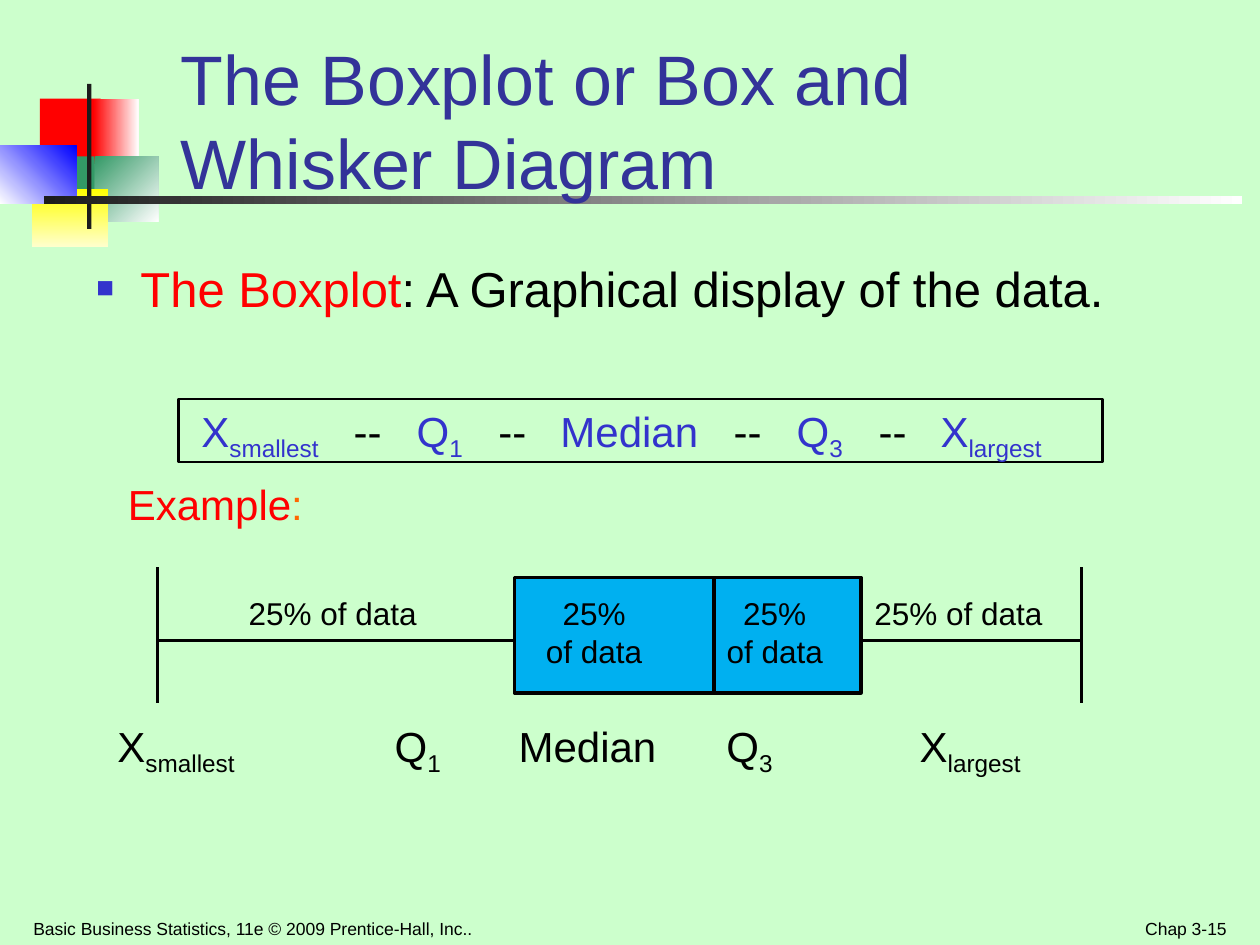
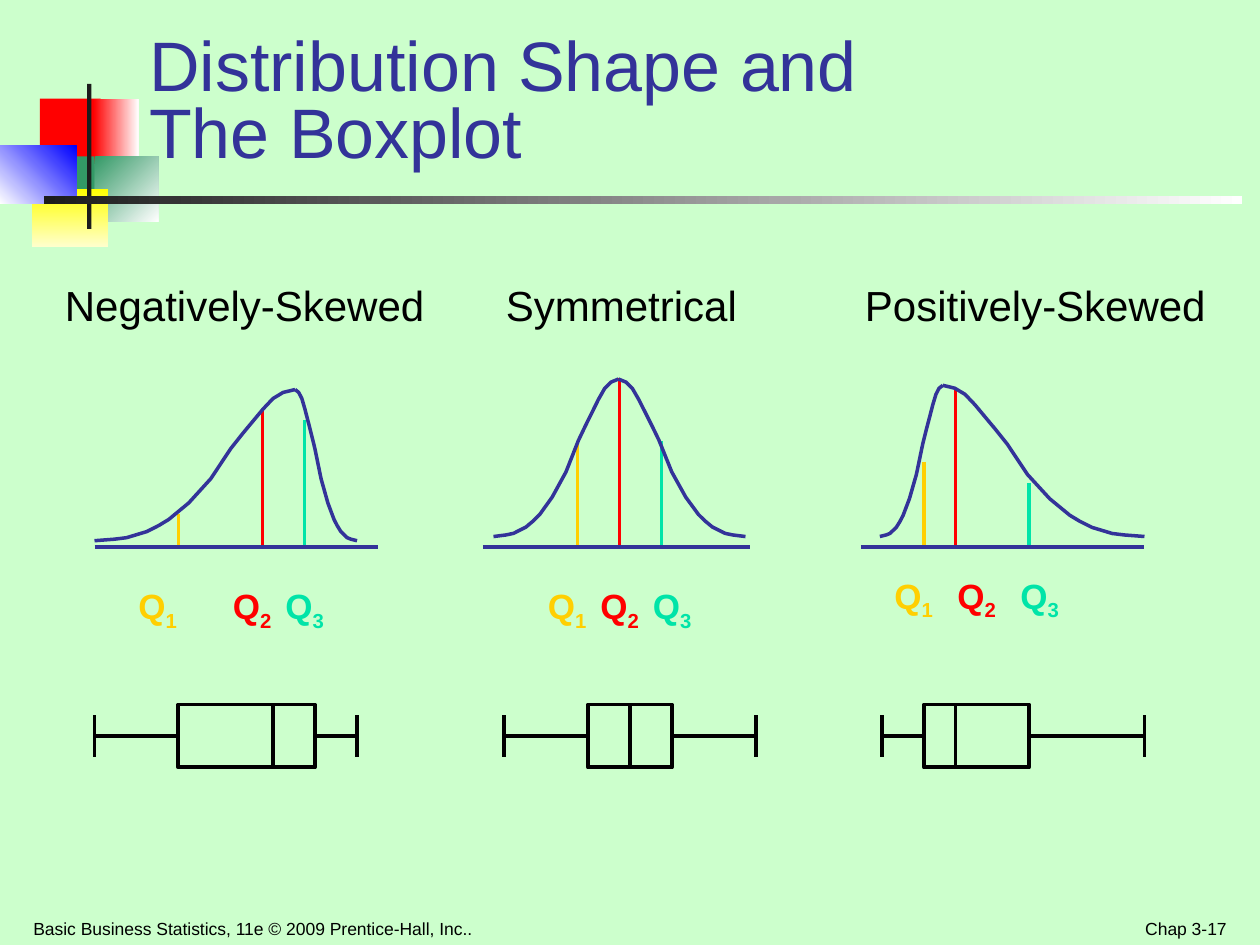
from copy import deepcopy

from lxml.etree import SubElement
from pptx import Presentation
from pptx.dml.color import RGBColor
from pptx.enum.shapes import MSO_CONNECTOR, MSO_SHAPE
from pptx.enum.text import MSO_ANCHOR as Anchor, MSO_AUTO_SIZE, PP_ALIGN as Align
from pptx.oxml.ns import qn
from pptx.util import Inches, Pt

# Grid: every unit is one twelfth of an inch
COLUMNS, ROWS = 120, 90
UNIT = Inches(10) / COLUMNS
FONT = "Arial"

MINT = RGBColor(0xCC, 0xFF, 0xCC)
INDIGO = RGBColor(0x33, 0x33, 0x99)
VIOLET = RGBColor(0x33, 0x33, 0xCC)
BLACK = RGBColor(0, 0, 0)
CHARCOAL = RGBColor(0x1C, 0x1C, 0x1C)
WHITE = RGBColor(0xFF, 0xFF, 0xFF)
RED = RGBColor(0xFF, 0, 0)
ORANGE = RGBColor(0xFF, 0x66, 0)
GREEN = RGBColor(0x33, 0x99, 0x66)
YELLOW = RGBColor(0xFF, 0xFF, 0)
CREAM = RGBColor(0xFF, 0xFF, 0xCC)
BLUE = RGBColor(0, 0, 0xFF)
SKY = RGBColor(0, 0xB0, 0xF0)
GOLD = RGBColor(0xFF, 0xCF, 0x01)
TEAL = RGBColor(0, 0xE4, 0xA8)
QUARTILE_COLORS = (GOLD, RED, TEAL)

# Left, top, width, height in grid units; fill as (start, end, clockwise angle)
DECORATION = [
    (3.8, 9.4, 5.8, 6.2, (RED, RED, 0)),
    (8.9, 9.4, 4.3, 6.2, (RED, WHITE, 0)),
    (9, 14.9, 6.1, 6.2, (GREEN, WHITE, 45)),
    (5.2, 14.9, 3.8, 6.2, (GREEN, GREEN, 0)),
    (3, 18, 7.3, 5.5, (YELLOW, CREAM, 90)),
    (0, 13.9, 7.3, 5.5, (WHITE, BLUE, 315)),
    (8.3, 8, 0.4, 13.8, (CHARCOAL, CHARCOAL, 0)),
    (4.2, 18.7, 114.1, 0.7, (CHARCOAL, WHITE, 0)),
]

# Half of a bell curve from foot to peak, as shares of its width and height
BELL_HALF = [
    (0, 0), (0.1, 0.01), (0.16, 0.02), (0.21, 0.04), (0.26, 0.06), (0.32, 0.1),
    (0.37, 0.14), (0.47, 0.25), (0.58, 0.41), (0.68, 0.61), (0.74, 0.71),
    (0.79, 0.79), (0.84, 0.87), (0.89, 0.94), (0.94, 0.98), (1, 1),
]


def grid(units):
    return round(units * UNIT)


def sub(text):
    return text, {"subscript": True}


def add_bullet(properties):
    color = SubElement(properties, qn("a:buClr"))
    SubElement(color, qn("a:srgbClr"), val=str(VIOLET))
    SubElement(properties, qn("a:buSzPct"), val="60000")
    SubElement(properties, qn("a:buFont"), typeface=FONT)
    SubElement(properties, qn("a:buChar"), char="■")
    properties.set("marL", str(Inches(0.35)))
    properties.set("indent", str(-Inches(0.35)))


def add_tabs(properties, positions, kind):
    tab_list = SubElement(properties, qn("a:tabLst"))
    for position in positions:
        SubElement(tab_list, qn("a:tab"), pos=str(grid(position)), algn=kind)


def write(shape, paragraphs, size=24, color=BLACK, bold=False, align=Align.LEFT,
          anchor=Anchor.TOP, spacing=None, bullet=False, tabs=(), tab_kind="l"):
    """Fill a shape; a paragraph is a list of strings or (string, format) pairs."""
    frame = shape.text_frame
    frame.word_wrap = True
    frame.auto_size = MSO_AUTO_SIZE.NONE
    frame.vertical_anchor = anchor
    for number, parts in enumerate(paragraphs):
        paragraph = frame.add_paragraph() if number else frame.paragraphs[0]
        paragraph.alignment = align
        if spacing:
            paragraph.line_spacing = spacing
        properties = paragraph._p.get_or_add_pPr()
        if bullet:
            add_bullet(properties)
        if tabs:
            add_tabs(properties, tabs, tab_kind)
        for part in parts:
            if part == "\n":
                paragraph.add_line_break()
                continue
            text, style = (part, {}) if isinstance(part, str) else part
            run = paragraph.add_run()
            run.text = text
            font = run.font
            font.name, font.size, font.bold = FONT, Pt(size), bold
            font.color.rgb = style.get("color", color)
            if style.get("subscript"):
                font._element.set("baseline", "-25000")
        # A line break takes the size of the text around it
        for line_break in paragraph._p.findall(qn("a:br")):
            line_break.append(deepcopy(font._element))


class Deck:
    """Holds the shared style and the slide being drawn."""

    def __init__(self):
        self.presentation = Presentation()
        self.presentation.slide_width = grid(COLUMNS)
        self.presentation.slide_height = grid(ROWS)
        fill = self.presentation.slide_master.background.fill
        fill.solid()
        fill.fore_color.rgb = MINT
        self.slide = None

    def new_slide(self, title, place, page, spacing=None):
        layout = self.presentation.slide_layouts.get_by_name("Title Only")
        self.slide = self.presentation.slides.add_slide(layout)
        for *box, gradient in DECORATION:
            self.rectangle(*box, gradient=gradient)
        heading = self.slide.shapes.title
        heading.left, heading.top, heading.width, heading.height = map(grid, place)
        write(heading, [title], size=40, color=INDIGO, anchor=Anchor.BOTTOM, spacing=spacing)
        # Title text lies over the decoration
        self.slide.shapes._spTree.append(heading._element)
        footer = {"size": 10, "anchor": Anchor.BOTTOM}
        self.text(2, 85.8, 61, 4.2,
                  [["Basic Business Statistics, 11e © 2009 Prentice-Hall, Inc.."]], **footer)
        self.text(90, 85.8, 28, 4.2, [[page]], align=Align.RIGHT, **footer)

    def text(self, left, top, width, height, paragraphs, **style):
        box = self.slide.shapes.add_textbox(*map(grid, (left, top, width, height)))
        write(box, paragraphs, **style)

    def rectangle(self, left, top, width, height, fill=None, gradient=None, line=None):
        shape = self.slide.shapes.add_shape(
            MSO_SHAPE.RECTANGLE, *map(grid, (left, top, width, height)))
        shape.shadow.inherit = False
        if gradient and gradient[0] != gradient[1]:
            shape.fill.gradient()
            shape.fill.gradient_angle = (360 - gradient[2]) % 360
            for stop, color, position in zip(shape.fill.gradient_stops, gradient, (0, 1)):
                stop.color.rgb, stop.position = color, position
        elif fill or gradient:
            shape.fill.solid()
            shape.fill.fore_color.rgb = fill or gradient[0]
        else:
            shape.fill.background()
        if line:
            shape.line.color.rgb, shape.line.width = BLACK, Pt(line)
        else:
            shape.line.fill.background()
        return shape

    def line(self, left, top, right, bottom, color=BLACK, width=2.0, start=None, end=None):
        connector = self.slide.shapes.add_connector(
            MSO_CONNECTOR.STRAIGHT, *map(grid, (left, top, right, bottom)))
        if start:
            connector.begin_connect(*start)
        if end:
            connector.end_connect(*end)
        connector.line.color.rgb, connector.line.width = color, Pt(width)
        SubElement(connector._element.spPr, qn("a:effectLst"))

    def bell_half(self, foot, peak, base, top):
        points = [(grid(foot + x * (peak - foot)), grid(base + y * (top - base)))
                  for x, y in BELL_HALF]
        builder = self.slide.shapes.build_freeform(*points[0])
        builder.add_line_segments(points[1:], close=False)
        curve = builder.convert_to_shape()
        curve.shadow.inherit = False
        curve.fill.background()
        curve.line.color.rgb, curve.line.width = INDIGO, Pt(2)

    def density(self, baseline, feet, peak, base, top, quartiles):
        axis = 52.1
        for (column, row), color in zip(quartiles, QUARTILE_COLORS):
            self.line(column, row, column, axis, color)
        for foot in feet:
            self.bell_half(foot, peak, base, top)
        self.line(baseline[0], axis, baseline[1], axis, INDIGO, 2.25)

    def quartile_labels(self, columns, row):
        for number, (column, color) in enumerate(zip(columns, QUARTILE_COLORS), 1):
            self.text(column, row, 8, 5.8, [["Q", sub(str(number))]],
                      size=20, color=color, bold=True)

    def boxplot(self, smallest, first, median, third, largest):
        top, height = 67.1, 6
        middle = top + height / 2
        box = self.rectangle(first, top, third - first, height, line=2.25)
        self.line(median, top, median, top + height, width=2.25)
        self.line(smallest, middle, first, middle, width=2.25, end=(box, 1))
        self.line(third, middle, largest, middle, width=2.25, start=(box, 3))
        for column in (smallest, largest):
            self.line(column, middle - 2, column, middle + 2, width=2.25)


def draw_boxplot_slide(deck):
    deck.new_slide(["The Boxplot or Box and Whisker Diagram"], (16, 7, 96.8, 13), "Chap 3-15")
    deck.text(8, 24, 106, 12,
              [[("The Boxplot", {"color": RED}), ": A Graphical display of the data."]],
              size=28, bullet=True)

    # Five-number summary
    deck.rectangle(17, 38, 88, 6, line=1.25)
    dash = ("\t--", {"color": BLACK})
    deck.text(18, 38, 89, 6.7,
              [["X", sub("smallest"), dash, "\tQ", sub("1"), dash, "\tMedian", dash,
                "\tQ", sub("3"), dash, "\tX", sub("largest")]],
              color=VIOLET, tabs=(14.5, 20.5, 28.3, 34.2, 50.7, 56.7, 64.5, 70.4))
    deck.text(11, 45, 24, 6, [["Example", (":", {"color": ORANGE})]], color=RED)

    # Box, median and whiskers
    deck.rectangle(49, 55, 33, 11, fill=SKY, line=2)
    deck.line(68, 55, 68, 66)
    for end, box_side in ((15, 49), (103, 82)):
        deck.line(end, 54, end, 67)
        deck.line(end, 61, box_side, 61)

    # Labels
    deck.text(20, 56, 81, 8.4,
              [["\t25% of data\t25%\t25%\t25% of data"], ["\t\tof data\tof data"]],
              size=18, tabs=(10.5, 35.4, 52.6, 70.1), tab_kind="ctr")
    deck.text(10, 68, 104, 6.7,
              [["X", sub("smallest"), "\tQ", sub("1"), "\tMedian",
                "\tQ", sub("3"), "\tX", sub("largest")]],
              tabs=(26.4, 38.2, 58, 76.4))


def draw_distribution_slide(deck):
    deck.new_slide(["Distribution Shape and", "\n", "The Boxplot"],
                   (13, 7, 102.2, 10), "Chap 3-17", spacing=0.8)

    # Headings
    for column, width, heading in ((5, 38, "Negatively-Skewed"), (47, 26, "Symmetrical"),
                                   (81.2, 37, "Positively-Skewed")):
        deck.text(column, 26, width, 6, [[heading]])

    # Density curves with their quartiles
    deck.density((9, 36), (9, 34), 28.1, 51.5, 37.1, [(17, 49), (25, 39), (29, 40)])
    deck.density((46, 71.4), (47, 71), 58.9, 51.1, 36.1, [(55, 42), (59, 36), (63, 42)])
    deck.density((82, 109), (83.8, 109), 89.8, 51.1, 36.7, [(88, 44), (91, 37), (98, 46)])
    deck.quartile_labels((12, 21, 26), 55.1)
    deck.quartile_labels((51, 56, 61), 55.1)
    deck.quartile_labels((84, 90, 96), 54.1)

    # Boxplots
    deck.boxplot(9, 17, 26, 30, 34)
    deck.boxplot(48, 56, 60, 64, 72)
    deck.boxplot(84, 88, 91, 98, 109)


def main():
    deck = Deck()
    draw_boxplot_slide(deck)
    draw_distribution_slide(deck)
    deck.presentation.save("out.pptx")


if __name__ == "__main__":
    main()
